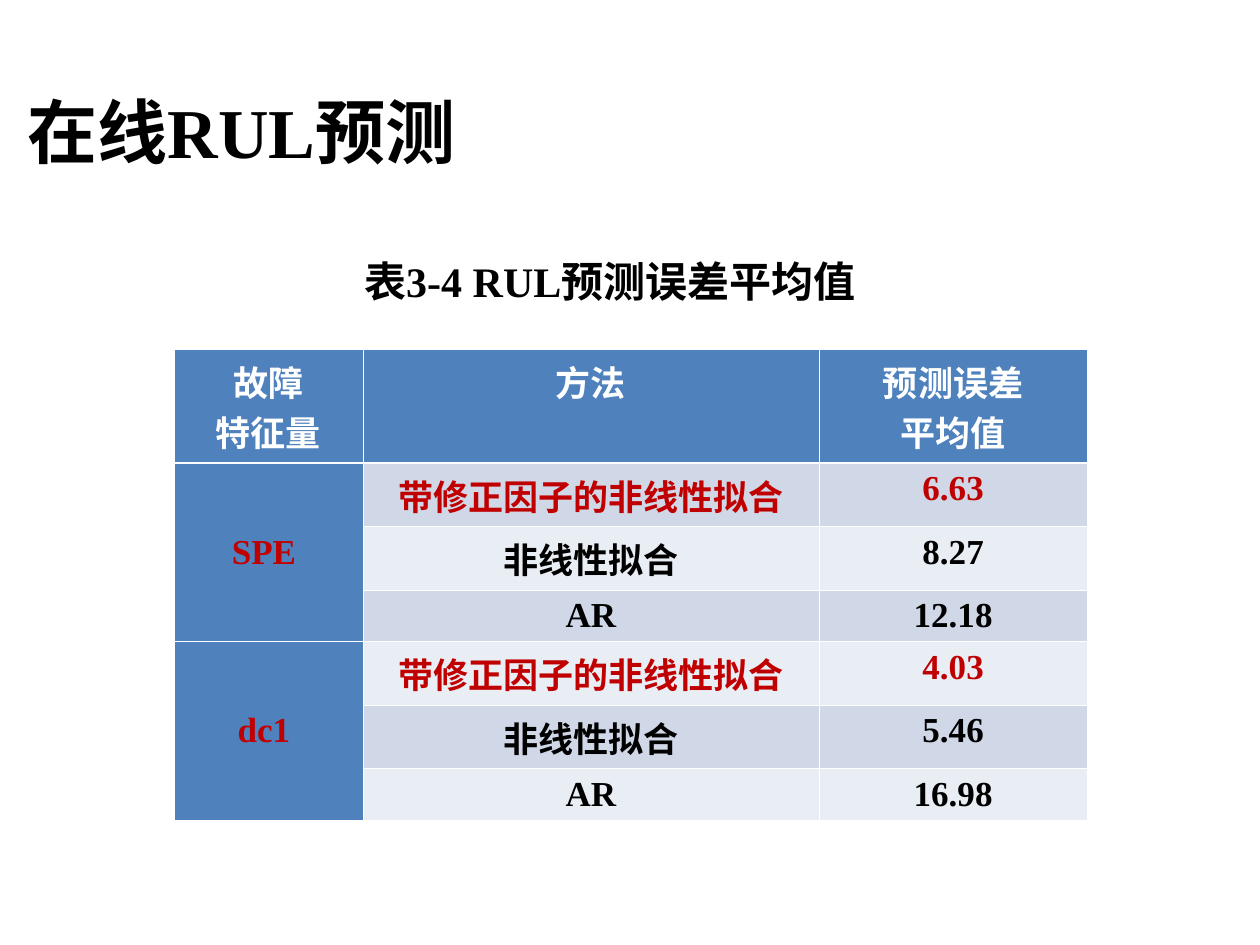
from lxml import etree
from pptx import Presentation
from pptx.dml.color import RGBColor
from pptx.enum.text import MSO_ANCHOR, MSO_AUTO_SIZE, PP_ALIGN
from pptx.oxml.ns import qn
from pptx.util import Inches, Pt

LEFT, CENTER = PP_ALIGN.LEFT, PP_ALIGN.CENTER
TOP, MIDDLE = MSO_ANCHOR.TOP, MSO_ANCHOR.MIDDLE
NO_FIT, GROW = MSO_AUTO_SIZE.NONE, MSO_AUTO_SIZE.SHAPE_TO_FIT_TEXT

CJK, SERIF, SANS = "Noto Sans CJK SC", "Times New Roman", "Calibri"
BLACK, WHITE, RED, BLUE = "000000", "FFFFFF", "C00000", "4F81BD"
BANDS = ["D0D8E8", "E9EDF4"]
THIN, THICK = 0.45, 1.47

TITLE = [("在线", CJK), ("RUL", SERIF), ("预测", CJK)]
CAPTION = [("表", CJK), ("3-4 RUL", SERIF), ("预测误差平均值", CJK)]
HEADERS = [["故障", "特征量"], ["方法"], ["预测误差", "平均值"]]
METHODS = [("带修正因子的非线性拟合", SANS), ("非线性拟合", SANS), ("AR", SERIF)]
ERRORS = {"SPE ": ["6.63", "8.27", "12.18"], "dc1 ": ["4.03", "5.46", "16.98"]}
COLUMN_WIDTHS = [1.5, 3.62, 2.13]
ROW_HEIGHTS = [0.67, 0.38] + [0.33] * 5


def set_attributes(target, **values):
    """Set each given value as an attribute of the target."""
    for name, value in values.items():
        setattr(target, name, value)


def paint(colour_format, colour):
    """Apply a hex colour to a fill or font colour."""
    colour_format.rgb = RGBColor.from_string(colour)


def write_line(paragraph, pieces, size, colour, alignment):
    """Write (text, font) pieces as bold runs of one paragraph."""
    paragraph.alignment = alignment
    for text, font in pieces:
        run = paragraph.add_run()
        run.text = text
        set_attributes(run.font, size=Pt(size), bold=True, name=font)
        paint(run.font.color, colour)
        east_asian = etree.SubElement(run.font._element, qn("a:ea"))
        east_asian.set("typeface", CJK)


def place_title(slide, left, top, width, height):
    """Place the slide title in the given box."""
    title = slide.shapes.title
    set_attributes(title, left=left, top=top, width=width, height=height)
    set_attributes(title.text_frame, vertical_anchor=MIDDLE, auto_size=NO_FIT, word_wrap=True)
    write_line(title.text_frame.paragraphs[0], TITLE, 40, BLACK, LEFT)


def place_caption(slide, left, top, width, height):
    """Place the table caption in the given box."""
    frame = slide.shapes.add_textbox(left, top, width, height).text_frame
    set_attributes(frame, word_wrap=True, auto_size=GROW)
    write_line(frame.paragraphs[0], CAPTION, 24, BLACK, CENTER)


def add_borders(cell, top, bottom):
    """Give the cell white borders, with the top and bottom widths in points."""
    properties = cell._tc.get_or_add_tcPr()
    for side, width in zip("LRTB", [THIN, THIN, top, bottom]):
        border = etree.SubElement(properties, qn(f"a:ln{side}"), w=str(int(Pt(width))))
        fill = etree.SubElement(border, qn("a:solidFill"))
        etree.SubElement(fill, qn("a:srgbClr"), val=WHITE)


def fill_cell(cell, lines, font, colour, background, anchor=TOP):
    """Fill one cell with centred lines of text on a background."""
    cell.fill.solid()
    paint(cell.fill.fore_color, background)
    side, edge = Inches(0.08), Inches(0.05)
    set_attributes(cell, vertical_anchor=anchor, margin_left=side, margin_right=side,
                   margin_top=edge, margin_bottom=edge)
    frame = cell.text_frame
    for index, line in enumerate(lines):
        paragraph = frame.add_paragraph() if index else frame.paragraphs[0]
        write_line(paragraph, [(line, font)], 20, colour, CENTER)


def place_error_table(slide, left, top, width, height):
    """Place the table of mean prediction errors in the given box."""
    table = slide.shapes.add_table(len(ROW_HEIGHTS), len(COLUMN_WIDTHS), left, top, width, height).table
    set_attributes(table, first_row=False, horz_banding=False)
    for column, column_width in zip(table.columns, COLUMN_WIDTHS):
        column.width = Inches(column_width)
    for index, (row, row_height) in enumerate(zip(table.rows, ROW_HEIGHTS)):
        row.height = Inches(row_height)
        for cell in row.cells:
            add_borders(cell, THICK if index == 1 else THIN, THICK if index == 0 else THIN)
    for column, lines in enumerate(HEADERS):
        fill_cell(table.cell(0, column), lines, SANS, WHITE, BLUE)
    for group, (feature, errors) in enumerate(ERRORS.items()):
        first = 1 + group * len(METHODS)
        feature_cell = table.cell(first, 0)
        feature_cell.merge(table.cell(first + len(METHODS) - 1, 0))
        fill_cell(feature_cell, [feature], SERIF, RED, BLUE, MIDDLE)
        for offset, ((method, font), error) in enumerate(zip(METHODS, errors)):
            row = first + offset
            colour = BLACK if offset else RED
            band = BANDS[(row - 1) % 2]
            fill_cell(table.cell(row, 1), [method], font, colour, band)
            fill_cell(table.cell(row, 2), [error], SERIF, colour, band)


def main():
    """Build and save the slide."""
    presentation = Presentation()
    set_attributes(presentation, slide_width=Inches(10), slide_height=Inches(7.5))
    slide = presentation.slides.add_slide(presentation.slide_layouts[5])
    place_title(slide, Inches(0.12), Inches(0.76), Inches(9.2), Inches(0.55))
    place_error_table(slide, Inches(1.38), Inches(2.77), Inches(7.25), Inches(2.72))
    place_caption(slide, Inches(1.06), Inches(1.98), Inches(7.56), Inches(0.5))
    presentation.save("out.pptx")


if __name__ == "__main__":
    main()
